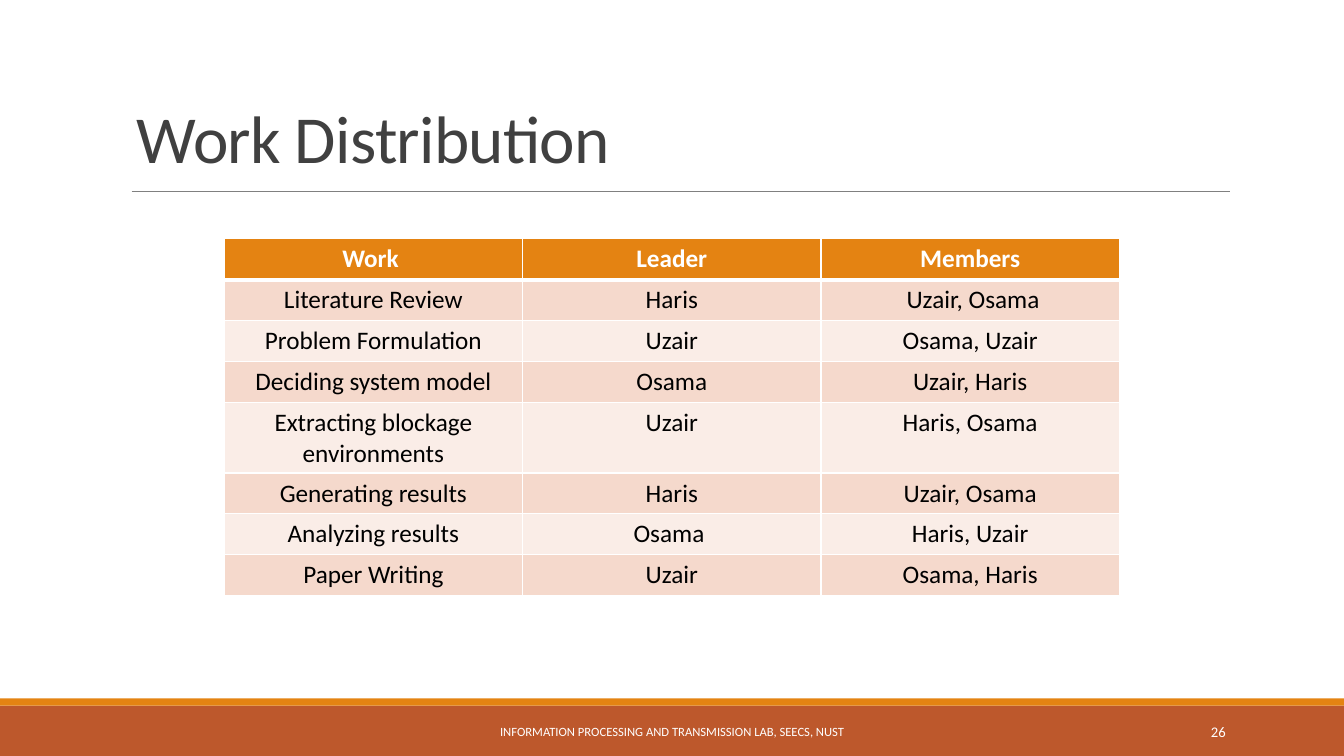
from lxml import etree
from pptx import Presentation
from pptx.dml.color import RGBColor
from pptx.enum import shapes, text
from pptx.oxml import ns
from pptx.util import Cm, Pt

WHITE = RGBColor(0xFF, 0xFF, 0xFF)
BLACK = RGBColor(0x00, 0x00, 0x00)
DARK_GREY = RGBColor(0x40, 0x40, 0x40)
GREY = RGBColor(0x80, 0x80, 0x80)
ORANGE = RGBColor(0xE4, 0x83, 0x12)
RUST = RGBColor(0xBD, 0x58, 0x2C)
BAND_DARK = RGBColor(0xF5, 0xD9, 0xCC)
BAND_LIGHT = RGBColor(0xFA, 0xED, 0xE7)

WIDTH, HEIGHT = 33.87, 19.05

WORK_ROWS = [
    ("Work ", "Leader", "Members"),
    ("Literature Review", "Haris", " Uzair, Osama"),
    ("Problem Formulation", "Uzair", "Osama, Uzair"),
    ("Deciding system model", "Osama", "Uzair, Haris"),
    ("Extracting blockage environments", "Uzair", "Haris, Osama"),
    ("Generating results", "Haris", "Uzair, Osama"),
    ("Analyzing results", "Osama ", "Haris, Uzair"),
    ("Paper Writing", "Uzair", "Osama, Haris"),
]


class SlideBuilder:
    font = "Calibri"

    def __init__(self, s):
        self.s = s

    def style(self, p, size, color, align, bold=False):
        p.alignment = align
        for r in p.runs:
            r.font.name = self.font
            r.font.size = Pt(size)
            r.font.bold = bold
            r.font.color.rgb = color

    def bar(self, top, height, color):
        sp = self.s.shapes.add_shape(
            shapes.MSO_SHAPE.RECTANGLE, Cm(0), Cm(top), Cm(WIDTH), Cm(height))
        sp.shadow.inherit = False
        sp.fill.solid()
        sp.fill.fore_color.rgb = color
        sp.line.fill.background()

    def rule(self, left, right, y):
        c = self.s.shapes.add_connector(
            shapes.MSO_CONNECTOR.STRAIGHT, Cm(left), Cm(y), Cm(right), Cm(y))
        c.line.color.rgb = GREY
        c.line.width = Pt(0.5)
        etree.SubElement(c._element.spPr, ns.qn("a:effectLst"))

    def label(self, box, words, size, color, align,
              anchor=text.MSO_ANCHOR.MIDDLE):
        sp = self.s.shapes.add_textbox(*(Cm(v) for v in box))
        tf = sp.text_frame
        tf.word_wrap = True
        tf.vertical_anchor = anchor
        tf.text = words
        p = tf.paragraphs[0]
        self.style(p, size, color, align)
        return p

    def title(self, box, words):
        p = self.label(box, words, 48, DARK_GREY, text.PP_ALIGN.LEFT,
                       text.MSO_ANCHOR.TOP)
        p.line_spacing = 0.85
        p.runs[0]._r.get_or_add_rPr().set("spc", "-50")

    def borders(self, cell, top, bottom):
        tc_pr = cell._tc.get_or_add_tcPr()
        for side, width in (("L", 1), ("R", 1), ("T", top), ("B", bottom)):
            ln = etree.SubElement(tc_pr, ns.qn(f"a:ln{side}"), w=str(Pt(width)))
            fill = etree.SubElement(ln, ns.qn("a:solidFill"))
            etree.SubElement(fill, ns.qn("a:srgbClr"), val=str(WHITE))

    def table(self, left, top, col_width, row_height, rows):
        n_rows, n_cols = len(rows), len(rows[0])
        table = self.s.shapes.add_table(
            n_rows, n_cols, Cm(left), Cm(top),
            Cm(col_width * n_cols), Cm(row_height * n_rows)).table
        for col in table.columns:
            col.width = Cm(col_width)
        for i, words in enumerate(rows):
            table.rows[i].height = Cm(row_height)
            header = i == 0
            band = ORANGE if header else BAND_DARK if i % 2 else BAND_LIGHT
            for j, word in enumerate(words):
                cell = table.cell(i, j)
                self.borders(cell, 3 if i == 1 else 1, 3 if header else 1)
                cell.fill.solid()
                cell.fill.fore_color.rgb = band
                cell.text_frame.text = word
                self.style(cell.text_frame.paragraphs[0], 18,
                           WHITE if header else BLACK,
                           text.PP_ALIGN.CENTER, header)


def main():
    prs = Presentation()
    prs.slide_width, prs.slide_height = Cm(WIDTH), Cm(HEIGHT)
    b = SlideBuilder(prs.slides.add_slide(prs.slide_layouts[6]))
    b.bar(17.78, 1.27, RUST)
    b.bar(17.6, 0.18, ORANGE)
    b.rule(3.32, 31, 4.82)
    b.label((10.24, 17.94, 13.39, 1.01),
            "INFORMATION PROCESSING AND TRANSMISSION LAB, SEECS, NUST",
            9, WHITE, text.PP_ALIGN.CENTER)
    b.label((27.5, 17.94, 3.64, 1.01), "26", 10.5, WHITE,
            text.PP_ALIGN.RIGHT)
    b.title((3.2, 2.62, 27.94, 2.13), "Work Distribution")
    b.table(5.65, 6.02, 7.52, 1.03, WORK_ROWS)
    prs.save("out.pptx")


if __name__ == "__main__":
    main()
